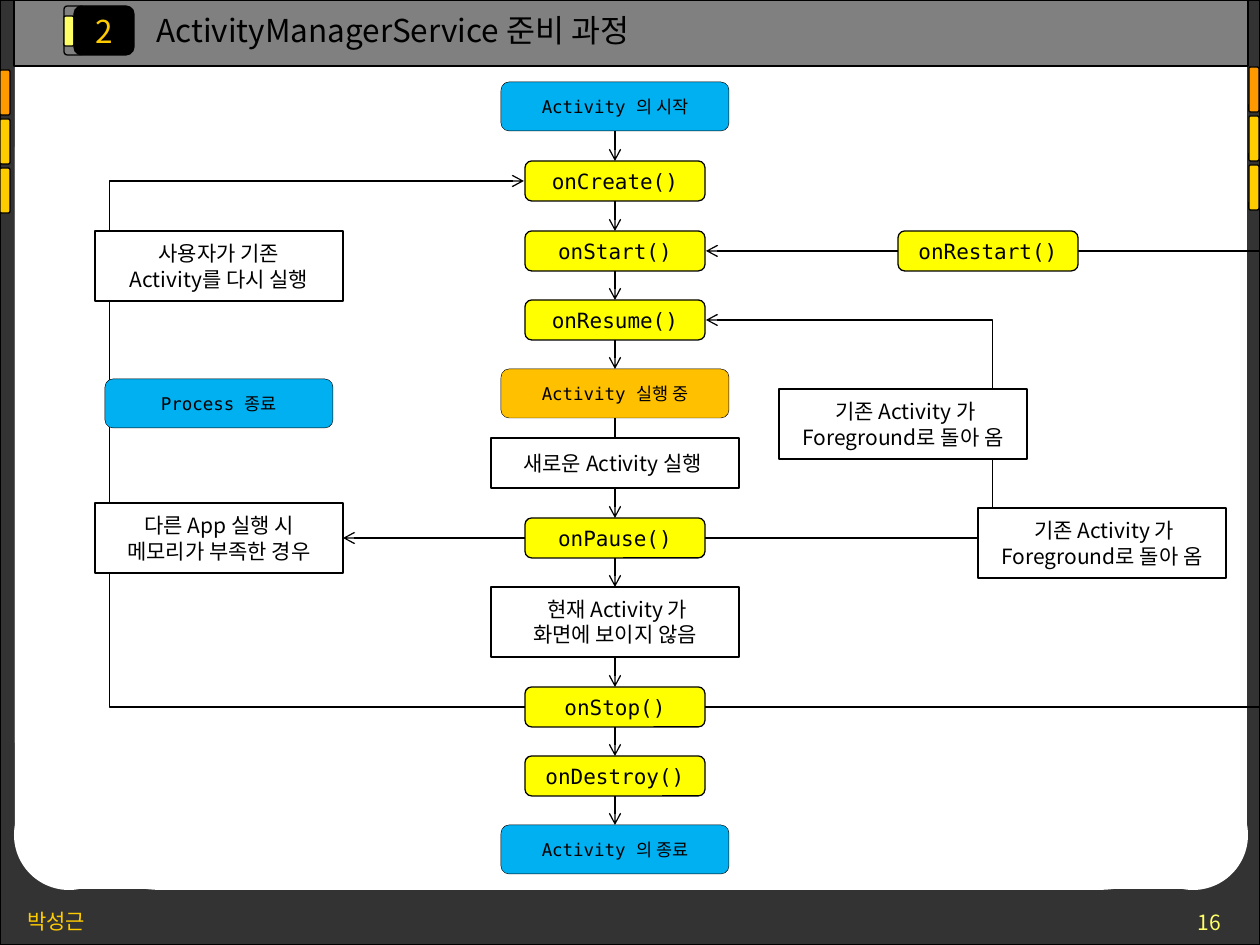
from lxml.etree import SubElement
from pptx import Presentation
from pptx.dml.color import RGBColor
from pptx.enum.shapes import MSO_CONNECTOR, MSO_SHAPE
from pptx.enum.text import MSO_ANCHOR, PP_ALIGN
from pptx.oxml.ns import qn
from pptx.util import Emu, Pt

PX = 914400 / 126
BLACK = RGBColor(0x00, 0x00, 0x00)
WHITE = RGBColor(0xFF, 0xFF, 0xFF)
DARK = RGBColor(0x33, 0x33, 0x33)
GRAY = RGBColor(0x80, 0x80, 0x80)
ORANGE = RGBColor(0xFF, 0x99, 0x00)
GOLD = RGBColor(0xFF, 0xCC, 0x00)
PALE_YELLOW = RGBColor(0xFF, 0xFF, 0x66)
YELLOW = RGBColor(0xFF, 0xFF, 0x00)
BLUE = RGBColor(0x00, 0xB0, 0xF0)
AMBER = RGBColor(0xFF, 0xC0, 0x00)
SANS = "Noto Sans CJK KR"
MONO = "DejaVu Sans Mono"

presentation = Presentation()
presentation.slide_width = Emu(round(1260 * PX))
presentation.slide_height = Emu(round(945 * PX))
slide = presentation.slides.add_slide(presentation.slide_layouts[6])


def add_box(kind, left, top, width, height, fill, line_width=0.75):
    box = [Emu(round(value * PX)) for value in (left, top, width, height)]
    shape = slide.shapes.add_shape(kind, *box)
    shape.shadow.inherit = False
    shape.fill.solid()
    shape.fill.fore_color.rgb = fill
    if line_width:
        shape.line.color.rgb = BLACK
        shape.line.width = Pt(line_width)
    else:
        shape.line.fill.background()
    return shape


def write_text(shape, text, size, color=BLACK, font=SANS, align=PP_ALIGN.CENTER):
    frame = shape.text_frame
    frame.text = text
    frame.word_wrap = True
    for paragraph in frame.paragraphs:
        paragraph.alignment = align
        for run in paragraph.runs:
            run.font.size = Pt(size)
            run.font.color.rgb = color
            run.font.name = font
            SubElement(run.font._element, qn("a:ea"), typeface=SANS)


# Dark frame with a white page rounded at the bottom
add_box(MSO_SHAPE.RECTANGLE, 0, 0, 1260, 945, DARK)
add_box(MSO_SHAPE.ROUNDED_RECTANGLE, 15, 0, 1230, 890, WHITE, 0)
add_box(MSO_SHAPE.RECTANGLE, 15, 0, 1232, 833, WHITE, 0)
for left in (14, 1138):
    add_box(MSO_SHAPE.OVAL, left, 780, 110, 110, WHITE, 0)
add_box(MSO_SHAPE.RECTANGLE, 74, 760, 1121, 129, WHITE, 0)

# Side tabs
for left, top in ((0, 70), (1249, 67)):
    for index, color in enumerate((ORANGE, GOLD, GOLD)):
        add_box(MSO_SHAPE.ROUNDED_RECTANGLE, left, top + 49 * index, 10, 45, color)

# Header with the number badge
add_box(MSO_SHAPE.RECTANGLE, 14, 0, 1234, 66, GRAY)
add_box(MSO_SHAPE.ROUNDED_RECTANGLE, 64, 6, 20, 49, GRAY)
add_box(MSO_SHAPE.ROUNDED_RECTANGLE, 64, 16, 10, 30, PALE_YELLOW)
badge = add_box(MSO_SHAPE.ROUNDED_RECTANGLE, 74, 6, 60, 49, BLACK)
write_text(badge, "2", 18, GOLD)

# Title, author and page number
for text, left, top, width, height, size, color in (
    ("ActivityManagerService 준비 과정", 144, 5, 1091, 50, 18, BLACK),
    ("박성근", 15, 902, 596, 38, 12, GOLD),
    ("16", 1185, 903, 71, 42, 12, PALE_YELLOW),
):
    box = [Emu(round(value * PX)) for value in (left, top, width, height)]
    write_text(slide.shapes.add_textbox(*box), text, size, color, align=PP_ALIGN.LEFT)

# Boxes by kind: width, height, fill, line width, text size, font, shape
STYLES = {
    "state": (228, 49, BLUE, 0.25, 10, MONO, MSO_SHAPE.ROUNDED_RECTANGLE),
    "running": (228, 49, AMBER, 0.25, 10, MONO, MSO_SHAPE.ROUNDED_RECTANGLE),
    "method": (180, 40, YELLOW, 0.75, 12, MONO, MSO_SHAPE.ROUNDED_RECTANGLE),
    "short note": (248, 50, WHITE, 0.75, 12, SANS, MSO_SHAPE.RECTANGLE),
    "note": (248, 70, WHITE, 0.75, 12, SANS, MSO_SHAPE.RECTANGLE),
}
CENTER = 615
MAIN_FLOW = (
    ("state", CENTER, 82, "Activity 의 시작"),
    ("method", CENTER, 161, "onCreate()"),
    ("method", CENTER, 231, "onStart()"),
    ("method", CENTER, 300, "onResume()"),
    ("running", CENTER, 369, "Activity 실행 중"),
    ("method", CENTER, 518, "onPause()"),
    ("note", CENTER, 587, " 현재 Activity 가\n화면에 보이지 않음"),
    ("method", CENTER, 687, "onStop()"),
    ("method", CENTER, 756, "onDestroy()"),
    ("state", CENTER, 825, "Activity 의 종료"),
)
BRANCHES = (
    ("short note", CENTER, 438, "새로운 Activity 실행 "),
    ("method", 988, 231, "onRestart()"),
    ("note", 903, 389, " 기존 Activity 가\nForeground로 돌아 옴"),
    ("note", 1102, 508, " 기존 Activity 가\nForeground로 돌아 옴"),
    ("state", 219, 379, "Process 종료"),
    ("note", 219, 231, "사용자가 기존\nActivity를 다시 실행"),
    ("note", 219, 503, "다른 App 실행 시\n메모리가 부족한 경우"),
)
nodes = {}
connectors = []
for part in (MAIN_FLOW, BRANCHES):
    for style, center, top, text in part:
        width, height, fill, line_width, size, font, kind = STYLES[style]
        node = add_box(kind, center - width // 2, top, width, height, fill, line_width)
        node.text_frame.vertical_anchor = MSO_ANCHOR.MIDDLE
        write_text(node, text, size, font=font)
        nodes[text] = node

    if part is MAIN_FLOW:
        # Arrows down the main flow
        steps = list(nodes.values())
        for upper, lower in zip(steps, steps[1:]):
            connector = slide.shapes.add_connector(MSO_CONNECTOR.STRAIGHT, 0, 0, 0, 0)
            connector.begin_connect(upper, 2)
            connector.end_connect(lower, 0)
            connectors.append(connector)

        # Loops back: side, direction, bend, start and end height
        for side, direction, bend, start, end in (
            (705, 1, 995, 538, 320),
            (705, 1, 1342, 707, 251),
            (525, -1, 106, 707, 181),
        ):
            ends = [Emu(round(value * PX)) for value in (side, start, side + direction, end)]
            connector = slide.shapes.add_connector(MSO_CONNECTOR.ELBOW, *ends)
            adjustments = connector._element.spPr.find(qn("a:prstGeom")).get_or_add_avLst()
            reach = abs(bend - side) * 100000
            SubElement(adjustments, qn("a:gd"), name="adj1", fmla=f"val {reach}")
            connectors.append(connector)

# Arrow to the low-memory note
connector = slide.shapes.add_connector(MSO_CONNECTOR.STRAIGHT, 0, 0, 0, 0)
connector.begin_connect(nodes["onPause()"], 1)
connector.end_connect(nodes["다른 App 실행 시\n메모리가 부족한 경우"], 3)
connectors.append(connector)

# Line and arrowhead of every connector
for connector in connectors:
    connector.line.color.rgb = BLACK
    connector.line.width = Pt(0.75)
    SubElement(connector.line._get_or_add_ln(), qn("a:tailEnd"), type="arrow")
    SubElement(connector._element.spPr, qn("a:effectLst"))

presentation.save("out.pptx")
